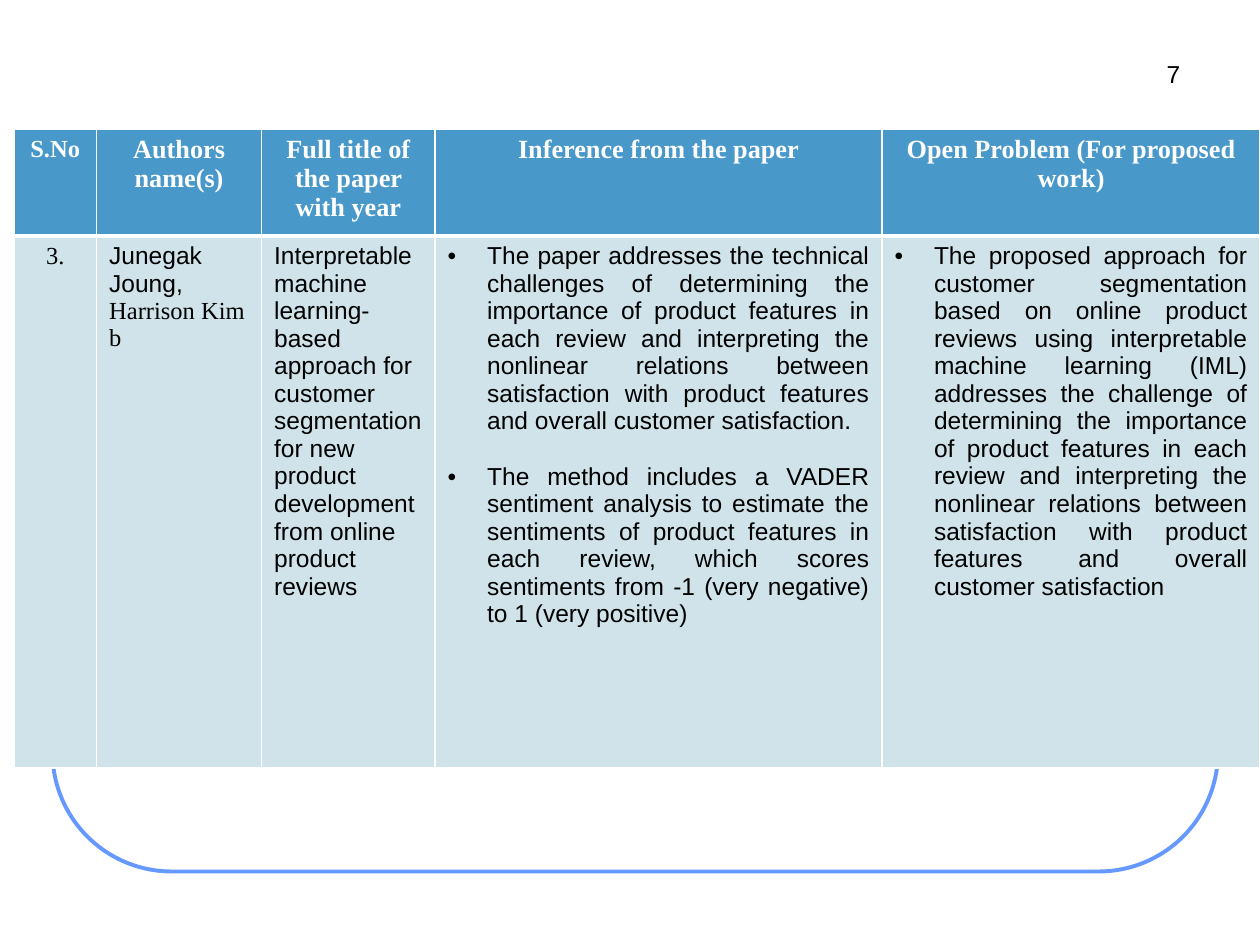
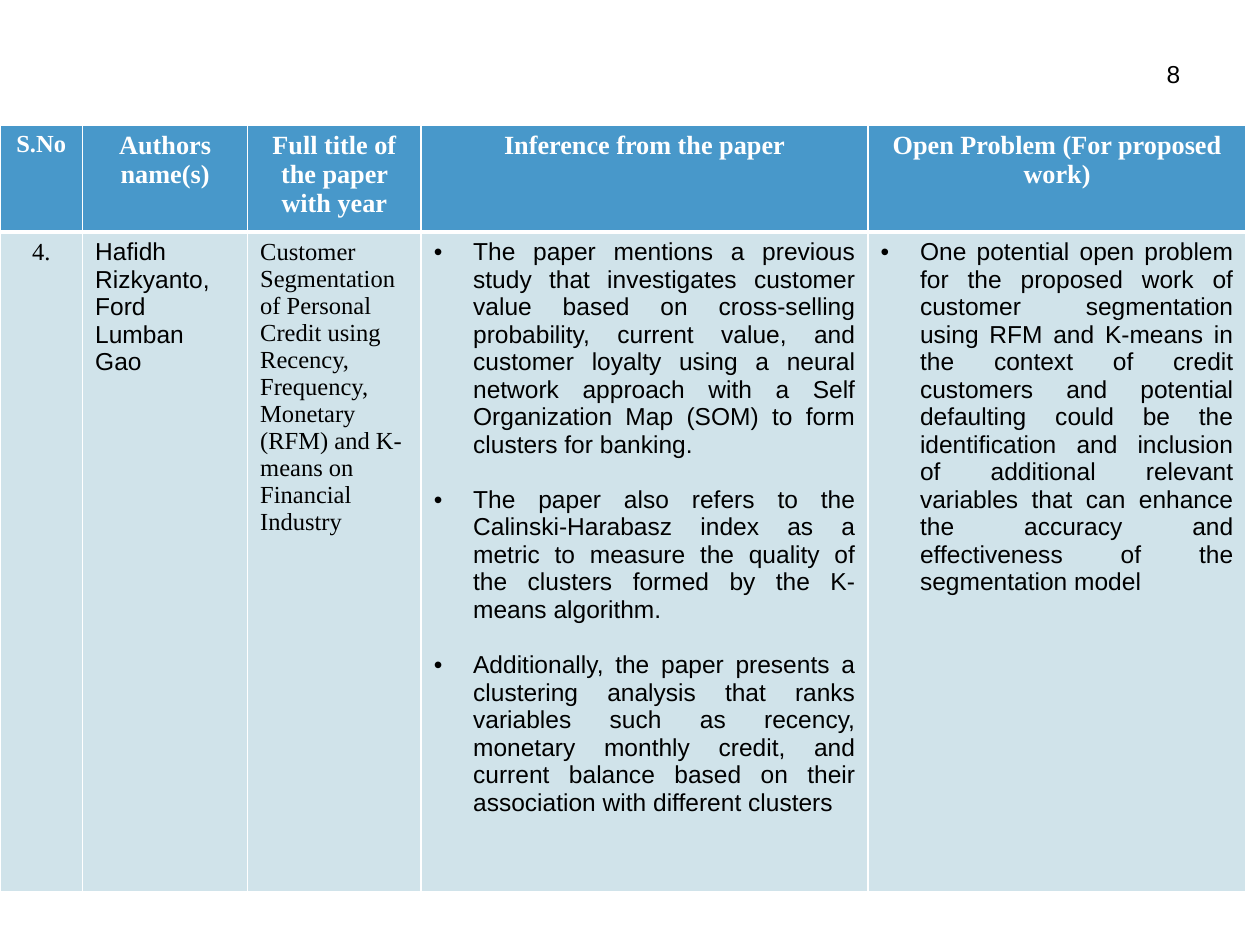
"""Build two literature survey slides, each with one table row about a paper."""
from lxml import etree
from pptx import Presentation
from pptx.dml.color import RGBColor
from pptx.enum import shapes, text
from pptx.oxml import ns
from pptx.util import Pt

SANS, SERIF = "Arial", "Times New Roman"
WHITE = RGBColor(0xFF, 0xFF, 0xFF)
BLACK = RGBColor(0, 0, 0)
HEADER_BLUE = RGBColor(0x48, 0x98, 0xCA)
ROW_BLUE = RGBColor(0xD0, 0xE3, 0xEA)
FRAME_BLUE = RGBColor(0x66, 0x99, 0xFF)

HEADINGS = [
    ("S.No", 14),
    ("Authors name(s)", 15),
    ("Full title of the paper with year", 15),
    ("Inference from the paper", 15),
    ("Open Problem (For proposed work)", 15),
]
COLUMN_WIDTHS = [47.2, 94.3, 99.2, 255.4, 216]
BODY_SIZE, BULLET_INDENT, BULLET_GAP = 14, 22.5, 15.75

PAPERS = [
    {
        "page": "7", "corner": (8, 73.7), "row_heights": (52, 304),
        "number": "3.",
        "authors": [("Junegak Joung,", SANS), ("Harrison Kim b", SERIF)],
        "title": [("Interpretable machine learning-based approach for customer segmentation\v"
                   "for new product development from online product reviews", SANS)],
        "inferences": [
            "The paper addresses the technical challenges of determining the importance of "
            "product features in each review and interpreting the nonlinear relations between "
            "satisfaction with product features and overall customer satisfaction.",
            "The method includes a VADER sentiment analysis to estimate the sentiments of "
            "product features in each review, which scores sentiments from -1 (very negative) "
            "to 1 (very positive)",
        ],
        "problems": [
            "The proposed approach for customer segmentation based on online product reviews "
            "using interpretable machine learning (IML) addresses the challenge of determining "
            "the importance of product features in each review and interpreting the nonlinear "
            "relations between satisfaction with product features and overall customer "
            "satisfaction",
        ],
    },
    {
        "page": "8", "corner": (0, 71.3), "row_heights": (55, 377),
        "number": "4.",
        "authors": [("Hafidh Rizkyanto, Ford Lumban Gao", SANS)],
        "title": [("Customer Segmentation of Personal Credit using Recency, Frequency, Monetary "
                   "(RFM) and K-means on Financial Industry", SERIF)],
        "inferences": [
            "The paper mentions a previous study that investigates customer value based on "
            "cross-selling probability, current value, and customer loyalty using a neural "
            "network approach with a Self Organization Map (SOM) to form clusters for banking.",
            "The paper also refers to the Calinski-Harabasz index as a metric to measure the "
            "quality of the clusters formed by the K-means algorithm.",
            "Additionally, the paper presents a clustering analysis that ranks variables such as "
            "recency, monetary monthly credit, and current balance based on their association "
            "with different clusters",
        ],
        "problems": [
            "One potential open problem for the proposed work of customer segmentation using RFM "
            "and K-means in the context of credit customers and potential defaulting could be "
            "the identification and inclusion of additional relevant variables that can enhance "
            "the accuracy and effectiveness of the segmentation model",
        ],
    },
]


def style(paragraph, align, font, size=BODY_SIZE, color=BLACK, bold=False):
    paragraph.alignment = align
    for run in paragraph.runs:
        run.font.name, run.font.size, run.font.bold = font, Pt(size), bold
        run.font.color.rgb = color


def add_bullet(paragraph):
    properties = paragraph._p.get_or_add_pPr()
    properties.set("marL", str(Pt(BULLET_INDENT)))
    properties.set("indent", str(-Pt(BULLET_INDENT)))
    etree.SubElement(properties, ns.qn("a:buFont"), typeface=SANS)
    etree.SubElement(properties, ns.qn("a:buChar"), char="•")


def paint(cell, color, top, bottom):
    properties = cell._tc.get_or_add_tcPr()
    for side, width in (("L", 1), ("R", 1), ("T", top), ("B", bottom)):
        line = etree.SubElement(properties, ns.qn(f"a:ln{side}"), w=str(Pt(width)))
        fill = etree.SubElement(line, ns.qn("a:solidFill"))
        etree.SubElement(fill, ns.qn("a:srgbClr"), val=str(WHITE))
    cell.fill.solid()
    cell.fill.fore_color.rgb = color


def write_cell(cell, entries, align, bulleted=False):
    cell.text_frame.text = "\n".join(words for words, _ in entries)
    for index, (paragraph, (_, font)) in enumerate(zip(cell.text_frame.paragraphs, entries)):
        style(paragraph, align, font)
        if bulleted:
            if index:
                paragraph.space_before = Pt(BULLET_GAP)
            add_bullet(paragraph)


def add_frame(slide):
    frame = slide.shapes.add_shape(shapes.MSO_SHAPE.ROUNDED_RECTANGLE,
                                   Pt(30), Pt(90), Pt(666), Pt(408))
    frame.adjustments[0] = 0.167
    frame.shadow.inherit = False
    frame.fill.solid()
    frame.fill.fore_color.rgb = WHITE
    frame.line.color.rgb = FRAME_BLUE
    frame.line.width = Pt(2.25)


def add_page_number(slide, page):
    number = slide.shapes.add_textbox(Pt(654.5), Pt(30), Pt(23.5), Pt(23)).text_frame
    number.margin_left = number.margin_right = Pt(3.6)
    number.margin_top = number.margin_bottom = Pt(3.6)
    number.word_wrap = False
    number.auto_size = text.MSO_AUTO_SIZE.SHAPE_TO_FIT_TEXT
    number.text = page
    style(number.paragraphs[0], text.PP_ALIGN.RIGHT, SANS)


def add_survey(slide, paper):
    left, top = paper["corner"]
    survey = slide.shapes.add_table(2, len(HEADINGS), Pt(left), Pt(top),
                                    Pt(sum(COLUMN_WIDTHS)), Pt(sum(paper["row_heights"]))).table
    for column, width in zip(survey.columns, COLUMN_WIDTHS):
        column.width = Pt(width)
    for row, height in zip(survey.rows, paper["row_heights"]):
        row.height = Pt(height)

    for index, (heading, size) in enumerate(HEADINGS):
        cell = survey.cell(0, index)
        cell.text_frame.text = heading
        style(cell.text_frame.paragraphs[0], text.PP_ALIGN.CENTER, SERIF, size, WHITE, True)
        paint(cell, HEADER_BLUE, 1, 3)
        paint(survey.cell(1, index), ROW_BLUE, 3, 1)

    write_cell(survey.cell(1, 0), [(paper["number"], SERIF)], text.PP_ALIGN.CENTER)
    for index, part in ((1, "authors"), (2, "title")):
        write_cell(survey.cell(1, index), paper[part], text.PP_ALIGN.LEFT)
    for index, part in ((3, "inferences"), (4, "problems")):
        points = [(point, SANS) for point in paper[part]]
        write_cell(survey.cell(1, index), points, text.PP_ALIGN.JUSTIFY, bulleted=True)


def main():
    deck = Presentation()
    deck.slide_width, deck.slide_height = Pt(720), Pt(540)
    for paper in PAPERS:
        slide = deck.slides.add_slide(deck.slide_layouts[6])
        add_frame(slide)
        add_page_number(slide, paper["page"])
        add_survey(slide, paper)
    deck.save("out.pptx")


if __name__ == "__main__":
    main()
